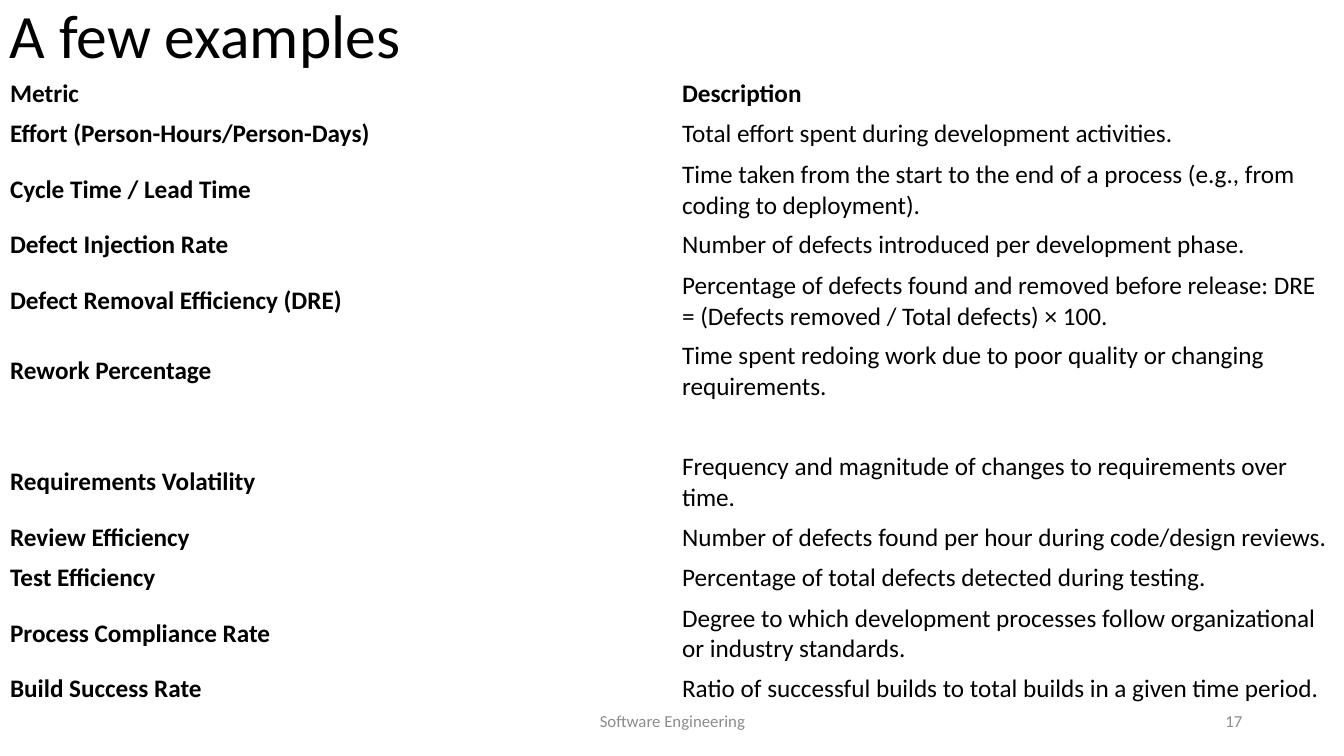
from pptx import Presentation
from pptx import util as u
from pptx.dml.color import RGBColor
from pptx.enum import text

HUES = {"ink": "000000", "muted": "8C8C8C"}

# metric, description, lines that the description takes
ROWS = [
    ("Metric", "Description", 1),
    ("Effort (Person-Hours/Person-Days)",
     "Total effort spent during development activities.", 1),
    ("Cycle Time / Lead Time",
     "Time taken from the start to the end of a process "
     "(e.g., from coding to deployment).", 2),
    ("Defect Injection Rate",
     "Number of defects introduced per development phase.", 1),
    ("Defect Removal Efficiency (DRE)",
     "Percentage of defects found and removed before release: "
     "DRE = (Defects removed / Total defects) × 100.", 2),
    ("Rework Percentage",
     "Time spent redoing work due to poor quality "
     "or changing requirements.", 2),
    ("", "", 1),
    ("Requirements Volatility",
     "Frequency and magnitude of changes to requirements over time.", 2),
    ("Review Efficiency",
     "Number of defects found per hour during code/design reviews.", 1),
    ("Test Efficiency",
     "Percentage of total defects detected during testing.", 1),
    ("Process Compliance Rate",
     "Degree to which development processes follow organizational "
     "or industry standards.", 2),
    ("Build Success Rate",
     "Ratio of successful builds to total builds in a given time period.", 1),
]


class Deck:
    """Holds the style and the current slide."""
    face = "Calibri"

    def __init__(self):
        self.prs = Presentation()
        self.prs.slide_width = u.Inches(13.33)
        self.prs.slide_height = u.Inches(7.5)
        self.slide = self.prs.slides.add_slide(self.prs.slide_layouts[6])

    def add_words(self, para, words, size, hue="ink", bold=False):
        run = para.add_run()
        run.text = words
        font = run.font
        font.name, font.size, font.bold = self.face, u.Pt(size), bold
        font.color.rgb = RGBColor.from_string(HUES[hue])

    def label(self, box, words, size, hue="ink", align="LEFT", space=1.0):
        shape = self.slide.shapes.add_textbox(*map(u.Inches, box))
        frame = shape.text_frame
        frame.word_wrap = True
        frame.vertical_anchor = text.MSO_ANCHOR.MIDDLE
        para = frame.paragraphs[0]
        para.alignment = text.PP_ALIGN[align]
        para.line_spacing = space
        self.add_words(para, words, size, hue)

    def table(self, box, rows, size):
        """Plain table with bold first row and first column."""
        grid = self.slide.shapes.add_table(
            len(rows), 2, *map(u.Inches, box)).table
        grid.first_row = grid.horz_banding = False
        for r, (*cells, lines) in enumerate(rows):
            grid.rows[r].height = u.Inches(0.1 + 0.3 * lines)
            for c, words in enumerate(cells):
                cell = grid.cell(r, c)
                cell.fill.background()
                cell.vertical_anchor = text.MSO_ANCHOR.MIDDLE
                para = cell.text_frame.paragraphs[0]
                para.font.size = u.Pt(size)
                if words:
                    self.add_words(para, words, size, bold=r == 0 or c == 0)


def main():
    deck = Deck()
    deck.label((0, -0.34, 11.5, 1.45), "A few examples", 44, space=0.9)
    deck.label((9.42, 6.95, 3, 0.4), "17", 12, "muted", "RIGHT")
    deck.label((4.42, 6.95, 4.5, 0.4), "Software Engineering", 12,
               "muted", "CENTER")
    deck.table((0, 0.73, 13.33, 6.3), ROWS, 18)
    deck.prs.save("out.pptx")


if __name__ == "__main__":
    main()
